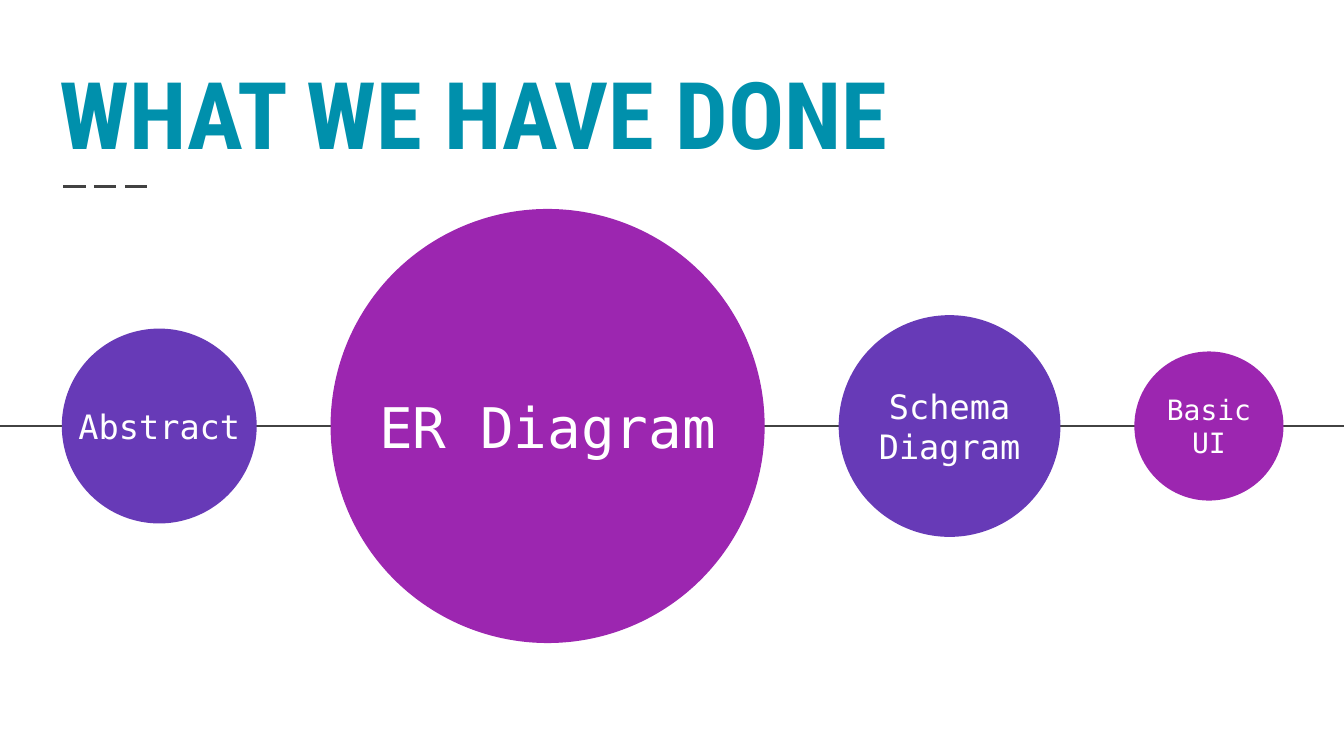
from dataclasses import dataclass

import pptx
import pptx.dml.color
import pptx.enum.dml
import pptx.enum.shapes
import pptx.enum.text
import pptx.oxml.ns
import pptx.slide
import pptx.text.text
import pptx.util
from lxml import etree

Inches = pptx.util.Inches
RGBColor = pptx.dml.color.RGBColor

TEAL = RGBColor(0x00, 0x90, 0xAC)
INDIGO = RGBColor(0x67, 0x3A, 0xB7)
PURPLE = RGBColor(0x9C, 0x26, 0xB0)
CHARCOAL = RGBColor(0x42, 0x42, 0x42)
WHITE = RGBColor(0xFF, 0xFF, 0xFF)

TITLE_FONT = "Roboto Condensed"
LABEL_FONT = "DejaVu Sans Mono"

SLIDE_WIDTH = 10
SLIDE_HEIGHT = SLIDE_WIDTH * 9 / 16
TIMELINE_Y = 3.17
FIRST_LEFT = 0.46
GAP = 0.55


@dataclass(frozen=True)
class Milestone:
    label: str
    diameter: float
    label_height: float
    font_size: int
    color: RGBColor


MILESTONES = [
    Milestone("Abstract", 1.45, 0.66, 18, INDIGO),
    Milestone("ER Diagram", 3.23, 1.45, 30, PURPLE),
    Milestone("Schema Diagram", 1.65, 0.66, 18, INDIGO),
    Milestone("Basic UI", 1.11, 0.66, 15, PURPLE),
]


def write_text(
    frame: pptx.text.text.TextFrame,
    text: str,
    font_name: str,
    size: int,
    color: RGBColor,
    alignment: pptx.enum.text.PP_ALIGN,
    anchor: pptx.enum.text.MSO_ANCHOR,
    bold: bool = False,
) -> None:
    frame.auto_size = pptx.enum.text.MSO_AUTO_SIZE.NONE
    frame.word_wrap = True
    frame.vertical_anchor = anchor
    frame.margin_left = frame.margin_right = Inches(0.1)
    frame.margin_top = frame.margin_bottom = Inches(0.1)
    paragraph = frame.paragraphs[0]
    paragraph.alignment = alignment
    run = paragraph.add_run()
    run.text = text
    run.font.name = font_name
    run.font.size = pptx.util.Pt(size)
    run.font.bold = bold
    run.font.color.rgb = color


def add_horizontal_line(
    slide: pptx.slide.Slide, start: float, end: float, y: float, dashed: bool = False
) -> None:
    connector = slide.shapes.add_connector(
        pptx.enum.shapes.MSO_CONNECTOR.STRAIGHT,
        Inches(start), Inches(y), Inches(end), Inches(y),
    )
    connector.line.color.rgb = CHARCOAL
    connector.line.width = pptx.util.Pt(1.5)
    if dashed:
        connector.line.dash_style = pptx.enum.dml.MSO_LINE.LONG_DASH
    properties = connector._element.spPr
    etree.SubElement(properties, pptx.oxml.ns.qn("a:effectLst"))


def add_title(slide: pptx.slide.Slide, text: str) -> None:
    title = slide.shapes.title
    title.left, title.top = Inches(0.34), Inches(0.1)
    title.width, title.height = Inches(9.32), Inches(1.25)
    write_text(
        title.text_frame, text, TITLE_FONT, 50, TEAL,
        pptx.enum.text.PP_ALIGN.LEFT, pptx.enum.text.MSO_ANCHOR.BOTTOM, bold=True,
    )


def add_milestone(slide: pptx.slide.Slide, milestone: Milestone, left: float) -> None:
    diameter = Inches(milestone.diameter)
    circle = slide.shapes.add_shape(
        pptx.enum.shapes.MSO_SHAPE.OVAL,
        Inches(left), Inches(TIMELINE_Y - milestone.diameter / 2), diameter, diameter,
    )
    circle.shadow.inherit = False
    circle.fill.solid()
    circle.fill.fore_color.rgb = milestone.color
    circle.line.fill.background()
    label = slide.shapes.add_textbox(
        Inches(left), Inches(TIMELINE_Y - milestone.label_height / 2),
        diameter, Inches(milestone.label_height),
    )
    write_text(
        label.text_frame, milestone.label, LABEL_FONT, milestone.font_size, WHITE,
        pptx.enum.text.PP_ALIGN.CENTER, pptx.enum.text.MSO_ANCHOR.MIDDLE,
    )


def main() -> None:
    presentation = pptx.Presentation()
    presentation.slide_width = Inches(SLIDE_WIDTH)
    presentation.slide_height = Inches(SLIDE_HEIGHT)
    slide = presentation.slides.add_slide(presentation.slide_layouts[5])
    slide.background.fill.solid()
    slide.background.fill.fore_color.rgb = WHITE

    add_horizontal_line(slide, 0.47, 1.14, 1.39, dashed=True)
    add_horizontal_line(slide, -0.01, SLIDE_WIDTH, TIMELINE_Y)
    add_title(slide, "WHAT WE HAVE DONE")

    left = FIRST_LEFT
    for milestone in MILESTONES:
        add_milestone(slide, milestone, left)
        left += milestone.diameter + GAP

    presentation.save("out.pptx")


if __name__ == "__main__":
    main()
